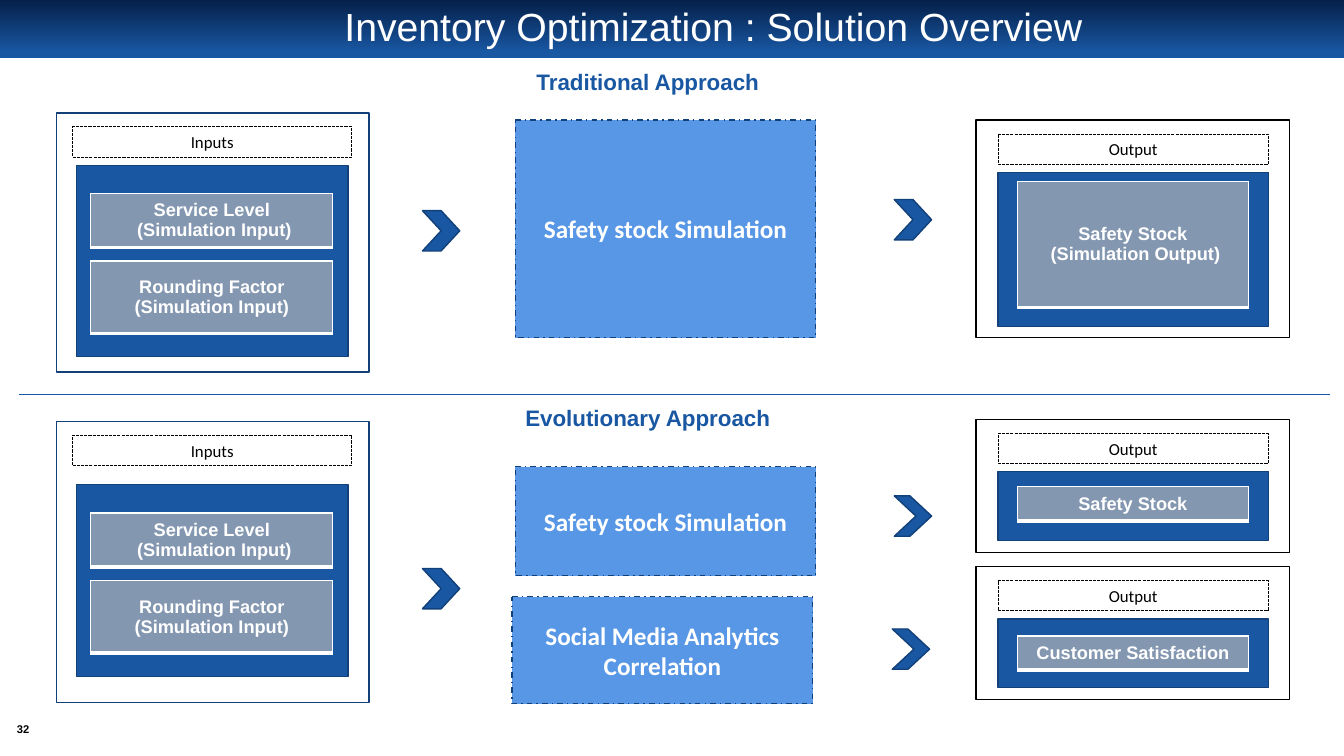
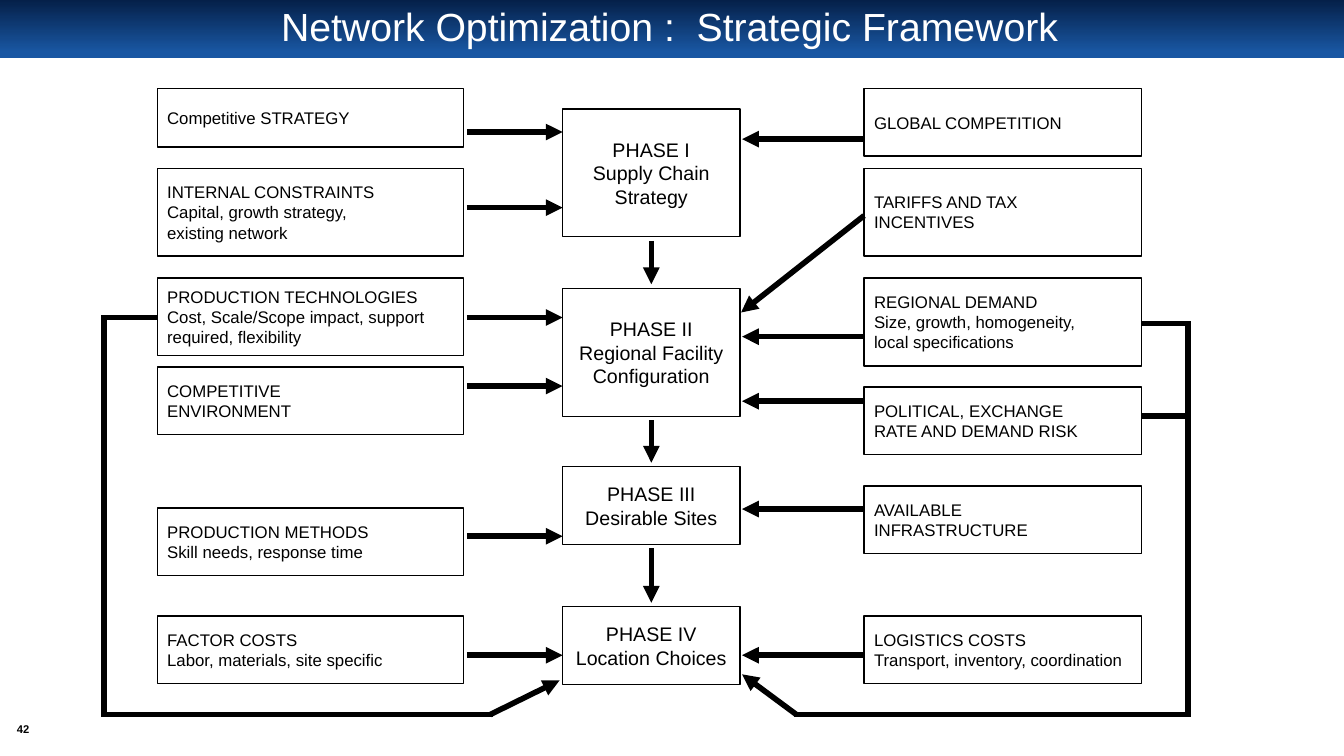
from dataclasses import dataclass
from itertools import pairwise
from typing import NamedTuple

from lxml import etree
from pptx import Presentation
from pptx import util as u
from pptx.dml.color import RGBColor
from pptx.enum import dml, shapes, text
from pptx.oxml import ns
from pptx.shapes.autoshape import Shape
from pptx.slide import Slide
from pptx.text.text import TextFrame

WIDTH, HEIGHT = 13.33, 7.5
Point = tuple[float, float]


class TextStyle(NamedTuple):
    size: float
    color: RGBColor
    font: str = "Arial"
    bold: bool = False
    align: text.PP_ALIGN = text.PP_ALIGN.CENTER


class Outline(NamedTuple):
    color: RGBColor
    width: float = 1
    dash: dml.MSO_LINE | None = None


class Theme:
    BLACK = RGBColor(0, 0, 0)
    WHITE = RGBColor(255, 255, 255)
    NIGHT = RGBColor.from_string("052049")
    BLUE = RGBColor.from_string("1957A3")
    EDGE = RGBColor.from_string("124079")
    SKY = RGBColor.from_string("5797E5")
    SLATE = RGBColor.from_string("8497B0")

    TITLE = TextStyle(28, WHITE)
    HEADING = TextStyle(16, BLUE, bold=True)
    PROCESS = TextStyle(18, WHITE, "Calibri", True)
    LABEL = TextStyle(12, BLACK, "Calibri")
    CELL = TextStyle(13, WHITE, bold=True)
    PHASE = TextStyle(14, BLACK)
    FACTOR = TextStyle(12, BLACK, align=text.PP_ALIGN.LEFT)
    NUMBER = TextStyle(8, BLACK, bold=True)

    THIN_BLACK = Outline(BLACK)
    THIN_BLUE = Outline(EDGE)
    DASHED = Outline(BLACK, 0.75, dml.MSO_LINE.SQUARE_DOT)
    DASH_DOT = Outline(EDGE, 1, dml.MSO_LINE.DASH_DOT)
    ARROW_WIDTH = 4


class Box(NamedTuple):
    left: float
    top: float
    width: float
    height: float

    def emu(self) -> list[u.Emu]:
        return [u.Inches(length) for length in self]


class Column(NamedTuple):
    left: float
    width: float

    def box(self, top: float, height: float) -> Box:
        return Box(self.left, top, self.width, height)


class Cell(NamedTuple):
    offset: float  # below the top of the tray
    height: float
    lines: str


@dataclass(frozen=True)
class PanelColumns:
    label: str
    frame: Column
    caption: Column
    tray: Column
    cell: Column
    outline: Outline


@dataclass(frozen=True)
class Panel:
    columns: PanelColumns
    top: float
    height: float
    tray_height: float
    cells: tuple[Cell, ...]
    tray_offset: float = 0.52


class Chevron(NamedTuple):
    left: float
    top: float
    depth: float = 0.5


class TextBlock(NamedTuple):
    column: Column
    top: float
    height: float
    lines: str


INPUTS = PanelColumns("Inputs", Column(0.56, 3.1), Column(0.72, 2.77),
                      Column(0.76, 2.69), Column(0.9, 2.4), Theme.THIN_BLUE)
OUTPUT = PanelColumns("Output", Column(9.68, 3.11), Column(9.9, 2.68),
                      Column(9.9, 2.68), Column(10.09, 2.29), Theme.THIN_BLACK)
INPUT_CELLS = (Cell(0.28, 0.53, "Service Level\n (Simulation Input)"),
               Cell(0.95, 0.72, "Rounding Factor\n(Simulation Input)"))
PANELS = (
    Panel(INPUTS, 1.12, 2.57, 1.9, INPUT_CELLS),
    Panel(OUTPUT, 1.19, 2.16, 1.53, (Cell(0.09, 1.25, "Safety Stock\n (Simulation Output)"),)),
    Panel(INPUTS, 4.18, 2.79, 1.9, INPUT_CELLS, tray_offset=0.63),
    Panel(OUTPUT, 4.16, 1.32, 0.68, (Cell(0.15, 0.34, "Safety Stock"),)),
    Panel(OUTPUT, 5.62, 1.32, 0.68, (Cell(0.17, 0.34, "Customer Satisfaction"),)),
)
PROCESSES = (
    TextBlock(Column(5.11, 2.98), 1.19, 2.16, "Safety stock Simulation"),
    TextBlock(Column(5.11, 2.98), 4.63, 1.08, "Safety stock Simulation"),
    TextBlock(Column(5.08, 2.98), 5.92, 1.06, "Social Media Analytics Correlation"),
)
HEADINGS = (
    TextBlock(Column(4.77, 3.31), 0.63, 0.37, "Traditional Approach"),
    TextBlock(Column(4.77, 3.31), 3.96, 0.37, "Evolutionary Approach"),
)
CHEVRONS = (Chevron(4.19, 2.09), Chevron(8.87, 1.98), Chevron(4.19, 5.64),
            Chevron(8.87, 4.92, 0.58), Chevron(8.85, 6.24, 0.58))

LEFT, CENTER, RIGHT = Column(1.56, 3.04), Column(5.58, 1.76), Column(8.57, 2.75)
PHASES = (
    TextBlock(CENTER, 1.08, 1.27, "PHASE I\nSupply Chain\nStrategy"),
    TextBlock(CENTER, 2.86, 1.27, "PHASE II\nRegional Facility\nConfiguration"),
    TextBlock(CENTER, 4.63, 0.77, "PHASE III\nDesirable Sites"),
    TextBlock(CENTER, 6.02, 0.77, "PHASE IV\nLocation Choices"),
)
FACTORS = (
    TextBlock(LEFT, 0.88, 0.58, "Competitive STRATEGY"),
    TextBlock(LEFT, 1.67, 0.87,
              "INTERNAL CONSTRAINTS\nCapital, growth strategy,\nexisting network"),
    TextBlock(LEFT, 2.76, 0.77, "PRODUCTION TECHNOLOGIES\n"
              "Cost, Scale/Scope impact, support\nrequired, flexibility"),
    TextBlock(LEFT, 3.64, 0.67, "COMPETITIVE\nENVIRONMENT"),
    TextBlock(LEFT, 5.04, 0.67, "PRODUCTION METHODS\nSkill needs, response time"),
    TextBlock(LEFT, 6.11, 0.67, "FACTOR COSTS\nLabor, materials, site specific"),
    TextBlock(RIGHT, 0.88, 0.67, "GLOBAL COMPETITION"),
    TextBlock(RIGHT, 1.67, 0.87, "TARIFFS AND TAX\nINCENTIVES"),
    TextBlock(RIGHT, 2.76, 0.87,
              "REGIONAL DEMAND\nSize, growth, homogeneity,\nlocal specifications"),
    TextBlock(RIGHT, 3.84, 0.67, "POLITICAL, EXCHANGE\nRATE AND DEMAND RISK"),
    TextBlock(RIGHT, 4.82, 0.67, "AVAILABLE\nINFRASTRUCTURE"),
    TextBlock(RIGHT, 6.11, 0.67, "LOGISTICS COSTS\nTransport, inventory, coordination"),
)
LEFT_ARROW_ROWS = (1.31, 2.06, 3.15, 3.83, 5.32, 6.5)
RIGHT_ARROW_ROWS = (1.38, 3.34, 3.98, 5.05, 6.5)
FEEDBACK_ROUTES: tuple[tuple[Point, ...], ...] = (
    ((1.53, 3.15), (1.03, 3.15), (1.03, 7.09), (4.86, 7.09), (5.55, 6.75)),
    ((11.35, 3.21), (11.78, 3.21), (11.78, 7.09), (7.9, 7.09), (7.36, 6.69)),
)


def write(frame: TextFrame, lines: str, style: TextStyle) -> None:
    frame.text = lines
    for para in frame.paragraphs:
        para.alignment = style.align
        para.font.name, para.font.size = style.font, u.Pt(style.size)
        para.font.bold, para.font.color.rgb = style.bold, style.color


def add_box(slide: Slide, box: Box, fill: RGBColor | None, outline: Outline | None,
            kind: shapes.MSO_SHAPE = shapes.MSO_SHAPE.RECTANGLE) -> Shape:
    shape = slide.shapes.add_shape(kind, *box.emu())
    shape.shadow.inherit = False
    if fill is None:
        shape.fill.background()
    else:
        shape.fill.solid()
        shape.fill.fore_color.rgb = fill
    if outline is None:
        shape.line.fill.background()
    else:
        shape.line.color.rgb = outline.color
        shape.line.width = u.Pt(outline.width)
        if outline.dash is not None:
            shape.line.dash_style = outline.dash
    return shape


def add_text(slide: Slide, box: Box, lines: str, style: TextStyle) -> TextFrame:
    frame = slide.shapes.add_textbox(*box.emu()).text_frame
    frame.word_wrap = True
    write(frame, lines, style)
    return frame


def add_line(slide: Slide, start: Point, end: Point, width: float = Theme.ARROW_WIDTH,
             color: RGBColor = Theme.BLACK, arrow: bool = True) -> None:
    """Draw a line; without an arrowhead its square caps close the corners of a route."""
    ends = [u.Inches(length) for length in (*start, *end)]
    connector = slide.shapes.add_connector(shapes.MSO_CONNECTOR.STRAIGHT, *ends)
    connector.line.width = u.Pt(width)
    connector.line.color.rgb = color
    outline = connector.get_or_add_ln()
    if arrow:
        etree.SubElement(outline, ns.qn("a:tailEnd"), type="triangle")
    else:
        outline.set("cap", "sq")
    etree.SubElement(connector.element.spPr, ns.qn("a:effectLst"))


def add_cell(slide: Slide, box: Box, lines: str) -> None:
    """Draw a one-cell table with a heavy bottom border."""
    table = slide.shapes.add_table(1, 1, *box.emu()).table
    table.first_row = table.horz_banding = False
    cell = table.cell(0, 0)
    properties = cell._tc.get_or_add_tcPr()
    for side, width in (("L", 1), ("R", 1), ("T", 1), ("B", 3)):
        border = etree.SubElement(properties, ns.qn(f"a:ln{side}"), w=str(u.Pt(width)))
        paint = etree.SubElement(border, ns.qn("a:solidFill"))
        etree.SubElement(paint, ns.qn("a:srgbClr"), val=str(Theme.WHITE))
    cell.fill.solid()
    cell.fill.fore_color.rgb = Theme.SLATE
    cell.vertical_anchor = text.MSO_ANCHOR.MIDDLE
    write(cell.text_frame, lines, Theme.CELL)


def add_panel(slide: Slide, panel: Panel) -> None:
    columns, tray_top = panel.columns, panel.top + panel.tray_offset
    add_box(slide, columns.frame.box(panel.top, panel.height), Theme.WHITE, columns.outline)
    caption = add_box(slide, columns.caption.box(panel.top + 0.14, 0.3), None, Theme.DASHED)
    write(caption.text_frame, columns.label, Theme.LABEL)
    add_box(slide, columns.tray.box(tray_top, panel.tray_height), Theme.BLUE, Theme.THIN_BLUE)
    for cell in panel.cells:
        add_cell(slide, columns.cell.box(tray_top + cell.offset, cell.height), cell.lines)


def add_master_band(deck: Presentation, slide: Slide) -> None:
    """Draw the title band once and hand it to the master, below every slide."""
    band = add_box(slide, Box(0, 0, WIDTH, 0.58), Theme.BLUE, None)
    band.fill.gradient()
    band.fill.gradient_angle = 270
    for stop, place, color in zip(band.fill.gradient_stops, (0, 0.9), (Theme.NIGHT, Theme.BLUE)):
        stop.position, stop.color.rgb = place, color
    deck.slide_master.shapes.element.insert(2, band.element)


def add_page(deck: Presentation, title: str, box: Box, number: int) -> Slide:
    slide = deck.slides.add_slide(deck.slide_layouts[5])
    heading = slide.shapes.title
    heading.left, heading.top, heading.width, heading.height = box.emu()
    frame = heading.text_frame
    frame.auto_size, frame.word_wrap = text.MSO_AUTO_SIZE.NONE, True
    frame.vertical_anchor = text.MSO_ANCHOR.MIDDLE
    write(frame, title, Theme.TITLE)
    frame.paragraphs[0].line_spacing = 0.9
    footer = add_text(slide, Box(0.08, 7.14, 0.3, 0.19), str(number), Theme.NUMBER)
    footer.margin_left = footer.margin_right = footer.margin_top = footer.margin_bottom = 0
    footer.vertical_anchor = text.MSO_ANCHOR.MIDDLE
    return slide


def draw_solution_overview(slide: Slide) -> None:
    for panel in PANELS:
        add_panel(slide, panel)
    for column, top, height, lines in PROCESSES:
        process = add_box(slide, column.box(top, height), Theme.SKY, Theme.DASH_DOT,
                          shapes.MSO_SHAPE.FLOWCHART_PROCESS)
        write(process.text_frame, lines, Theme.PROCESS)
    for left, top, depth in CHEVRONS:
        chevron = add_box(slide, Box(left, top, 0.37, 0.4), Theme.BLUE, Theme.THIN_BLUE,
                          shapes.MSO_SHAPE.CHEVRON)
        chevron.adjustments[0] = depth
    add_line(slide, (0.19, 3.91), (13.19, 3.91), 0.5, Theme.BLUE, arrow=False)
    for column, top, height, lines in HEADINGS:
        add_text(slide, column.box(top, height), lines, Theme.HEADING)


def draw_strategic_framework(slide: Slide) -> None:
    for blocks, style in ((PHASES, Theme.PHASE), (FACTORS, Theme.FACTOR)):
        for column, top, height, lines in blocks:
            box = add_box(slide, column.box(top, height), None, Theme.THIN_BLACK)
            write(box.text_frame, lines, style)
    middle = CENTER.left + CENTER.width / 2
    for upper, lower in pairwise(PHASES):
        add_line(slide, (middle, upper.top + upper.height + 0.04), (middle, lower.top - 0.04))
    for row in LEFT_ARROW_ROWS:
        add_line(slide, (4.63, row), (CENTER.left, row))
    for row in RIGHT_ARROW_ROWS:
        add_line(slide, (RIGHT.left, row), (7.36, row))
    add_line(slide, (RIGHT.left, 2.14), (7.35, 3.1))
    add_line(slide, (11.35, 4.13), (11.78, 4.13), arrow=False)
    for route in FEEDBACK_ROUTES:
        for start, end in pairwise(route):
            add_line(slide, start, end, arrow=end == route[-1])


def main() -> None:
    deck = Presentation()
    deck.slide_width, deck.slide_height = u.Inches(WIDTH), u.Inches(HEIGHT)
    overview = add_page(deck, "Inventory Optimization : Solution Overview",
                        Box(1.88, 0.09, 10.39, 0.39), 32)
    add_master_band(deck, overview)
    draw_solution_overview(overview)
    framework = add_page(deck, "Network Optimization :  Strategic Framework",
                         Box(0.66, 0.06, 11.96, 0.45), 42)
    draw_strategic_framework(framework)
    deck.save("out.pptx")


if __name__ == "__main__":
    main()
